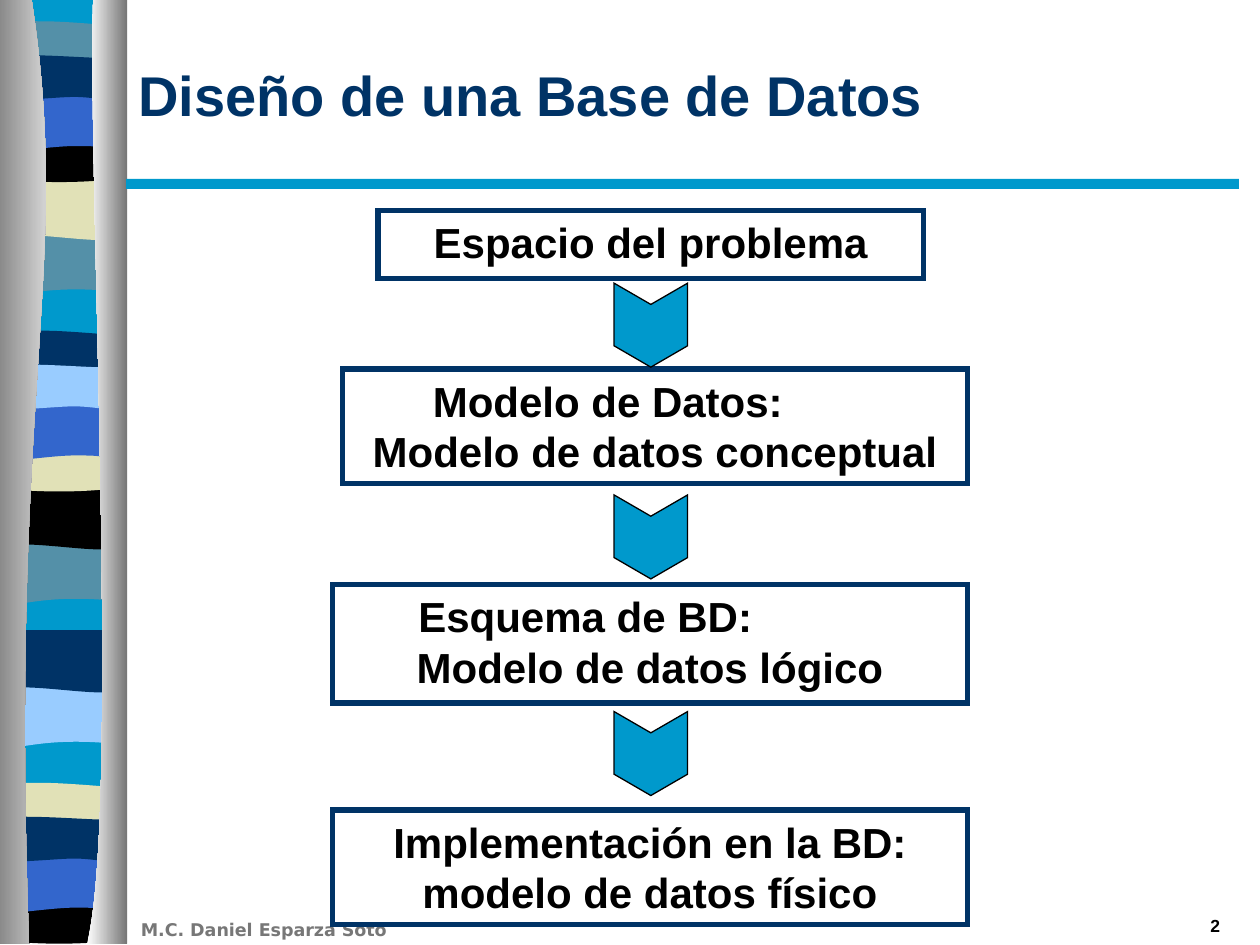
from lxml import etree
from pptx import Presentation
from pptx.dml.color import RGBColor
from pptx.enum import shapes, text
from pptx.oxml.ns import qn
from pptx.util import Pt

NAVY = RGBColor(0x00, 0x33, 0x66)
CYAN = RGBColor(0x00, 0x99, 0xCC)
STEEL = RGBColor(0x54, 0x90, 0xA8)
CREAM = RGBColor(0xE1, 0xE1, 0xB7)
BLUE = RGBColor(0x33, 0x66, 0xCC)
SKY = RGBColor(0x99, 0xCC, 0xFF)
BLACK = RGBColor(0x00, 0x00, 0x00)
WHITE = RGBColor(0xFF, 0xFF, 0xFF)
GREY = RGBColor(0x76, 0x76, 0x76)
FOOTER_GREY = RGBColor(0x77, 0x77, 0x77)

# Outlines: two numbers are a corner, six are a cubic curve to the last point.
BANDS = [
    [(70.5, 133.2), (70.5, 167), (19.4, 161.3, 9.4, 172.8, -3.6, 167), (-3.6, 133.2)],
    [(70.5, 101.5), (70.5, 135.4), (58.3, 141.1, 19.4, 131, -3, 135.4), (-3, 101.5)],
    [(70.5, 15.1), (70.5, 32.4), (58.3, 36, 9.4, 36, -3.6, 32.4), (-3.6, 15.1),
     (1.4, 11.5, 13, 12.2, 25.2, 12.2), (37.4, 12.2, 61.2, 14.4, 70.5, 15.1)],
    [(70.5, 77.8), (70.5, 100.8), (58.3, 105.1, 9.4, 105.1, -3, 100.8), (-3, 77.8),
     (42.5, 81.4, 55.4, 77.8, 70.5, 77.8)],
    [(70.5, 53.3), (70.5, 87.1), (59, 83.5, 54.7, 83.5, 42.5, 83.5),
     (30.2, 83.5, 7.9, 87.1, -3, 87.1), (-3, 53.3)],
    [(70.5, 33.1), (70.5, 55.4), (66.2, 59, 54.7, 55.4, 42.5, 55.4),
     (30.2, 55.4, 4.3, 59, -3.6, 55.4), (-3.6, 33.1),
     (7.2, 29.5, 46.8, 33.1, 59, 33.1), (71.3, 33.1, 68.4, 33.1, 70.5, 33.1)],
]
# Each repeat of the bands: shift of the first two, shift of the rest, colours.
REPEATS = [
    (0, 0, [STEEL, CREAM, STEEL, BLACK, BLUE, NAVY]),
    (176.8, 176.8, [STEEL, BLACK, NAVY, CREAM, BLUE, SKY]),
    (258.5, 435.2, [SKY, NAVY, CREAM, BLACK, BLUE, NAVY]),
]
LEFT_PILLAR = [(18, -0.7), (41.8, 155.5, 5, 213.1, 16.6, 539.3), (-6.5, 539.3), (-7.2, -0.7)]
RIGHT_PILLAR = [(53.3, -0.7), (49.7, 90, 69.1, 465.1, 49.7, 539.3), (72.7, 539.3), (72.7, 0)]


def add_outline(s, outline, left, top):
    """Freeform whose six-number parts become Bézier curves."""
    points = [(Pt(left + part[i]), Pt(top + part[i + 1]))
              for part in outline for i in range(0, len(part), 2)]
    fb = s.shapes.build_freeform(*points[0])
    fb.add_line_segments(points[1:], close=True)
    sp = fb.convert_to_shape()
    lines = iter(list(sp._element.iter(qn("a:lnTo"))))
    for part in outline[1:]:
        first = next(lines)
        if len(part) == 6:
            first.tag = qn("a:cubicBezTo")
            for _ in range(2):
                line = next(lines)
                first.append(line[0])
                line.getparent().remove(line)
    sp.shadow.inherit = False
    sp.line.fill.background()
    return sp


def add_preset(s, kind, box, fill=None, line=None, width=0):
    sp = s.shapes.add_shape(kind, *map(Pt, box))
    sp.shadow.inherit = False
    if fill is None:
        sp.fill.background()
    else:
        sp.fill.solid()
        sp.fill.fore_color.rgb = fill
    if line is None:
        sp.line.fill.background()
    else:
        sp.line.color.rgb = line
        sp.line.width = Pt(width)
        ln = sp._element.spPr.find(qn("a:ln"))
        etree.SubElement(ln, qn("a:miter")).set("lim", "800000")
    return sp


def style(p, size, color, align, font="Arial"):
    p.alignment = align
    p.font.size = Pt(size)
    p.font.name = font
    p.font.bold = True
    p.font.color.rgb = color


def add_text(s, box, words, size, color, align=text.PP_ALIGN.LEFT,
             anchor=text.MSO_ANCHOR.TOP, font="Arial"):
    tf = s.shapes.add_textbox(*map(Pt, box)).text_frame
    tf.word_wrap = True
    tf.vertical_anchor = anchor
    tf.text = words
    style(tf.paragraphs[0], size, color, align, font)


def add_side_ornament(s, left, top):
    """Coloured wavy bands seen between two shaded pillars."""
    add_preset(s, shapes.MSO_SHAPE.RECTANGLE, (left - 3.6, top, 74.1, 538), CYAN)
    for first_shift, shift, colors in REPEATS:
        for i, (band, color) in enumerate(zip(BANDS, colors)):
            sp = add_outline(s, band, left, top + (first_shift if i < 2 else shift))
            sp.fill.solid()
            sp.fill.fore_color.rgb = color
    for pillar, shades in ((LEFT_PILLAR, (GREY, WHITE)), (RIGHT_PILLAR, (WHITE, GREY))):
        fill = add_outline(s, pillar, left, top).fill
        fill.gradient()
        fill.gradient_angle = 0
        for stop, shade in zip(fill.gradient_stops, shades):
            stop.color.rgb = shade


def add_frame(s, left, top):
    """Title with its rule, footer and slide number."""
    add_preset(s, shapes.MSO_SHAPE.RECTANGLE, (left, top + 102.2, 636, 5.8), CYAN)
    add_text(s, (left + 1.4, top + 521.6, 204, 19.4), "M.C. Daniel Esparza Soto", 10,
             FOOTER_GREY, font="DejaVu Sans")
    add_text(s, (left + 482.4, top + 519.1, 149.8, 18.7), "2", 10, BLACK,
             text.PP_ALIGN.RIGHT)
    add_text(s, (left, top + 8.6, 632.2, 90), "Diseño de una Base de Datos", 32, NAVY,
             anchor=text.MSO_ANCHOR.MIDDLE)


def add_step(s, box, lines, heading_shift=0):
    """Framed step; heading_shift is the right margin of its first line."""
    sp = add_preset(s, shapes.MSO_SHAPE.RECTANGLE, box, line=NAVY, width=3)
    tf = sp.text_frame
    tf.word_wrap = True
    tf.vertical_anchor = text.MSO_ANCHOR.TOP
    tf.text = "\n".join(lines)
    for i, p in enumerate(tf.paragraphs):
        margin = 0 if i else heading_shift
        p._p.get_or_add_pPr().set("marR", str(Pt(margin)))
        style(p, 24, BLACK, text.PP_ALIGN.CENTER)


def add_flow(s, left, top):
    add_step(s, (left + 26, top, 311.8, 38.9), ["Espacio del problema"])
    add_step(s, (left + 5.8, top + 90.7, 357.1, 65.5),
             ["Modelo de Datos:", "Modelo de datos conceptual"], 54)
    add_step(s, (left, top + 213.8, 362.9, 67.7),
             ["Esquema de BD:", "Modelo de datos lógico"], 74)
    add_step(s, (left, top + 342.7, 362.9, 65.5),
             ["Implementación en la BD: modelo de datos físico"])
    for y in (44.6, 165.6, 289.4):
        sp = add_preset(s, shapes.MSO_SHAPE.CHEVRON, (left + 157.9, top + y, 48, 42),
                        CYAN, BLACK, 0.75)
        sp.rotation = 90
        sp.adjustments[0] = 0.29


def main():
    prs = Presentation()
    prs.slide_width, prs.slide_height = Pt(720), Pt(540)
    s = prs.slides.add_slide(prs.slide_layouts[6])
    add_side_ornament(s, 0, 0)
    add_frame(s, 72, 0)
    add_flow(s, 190, 120.2)
    prs.save("out.pptx")


if __name__ == "__main__":
    main()
